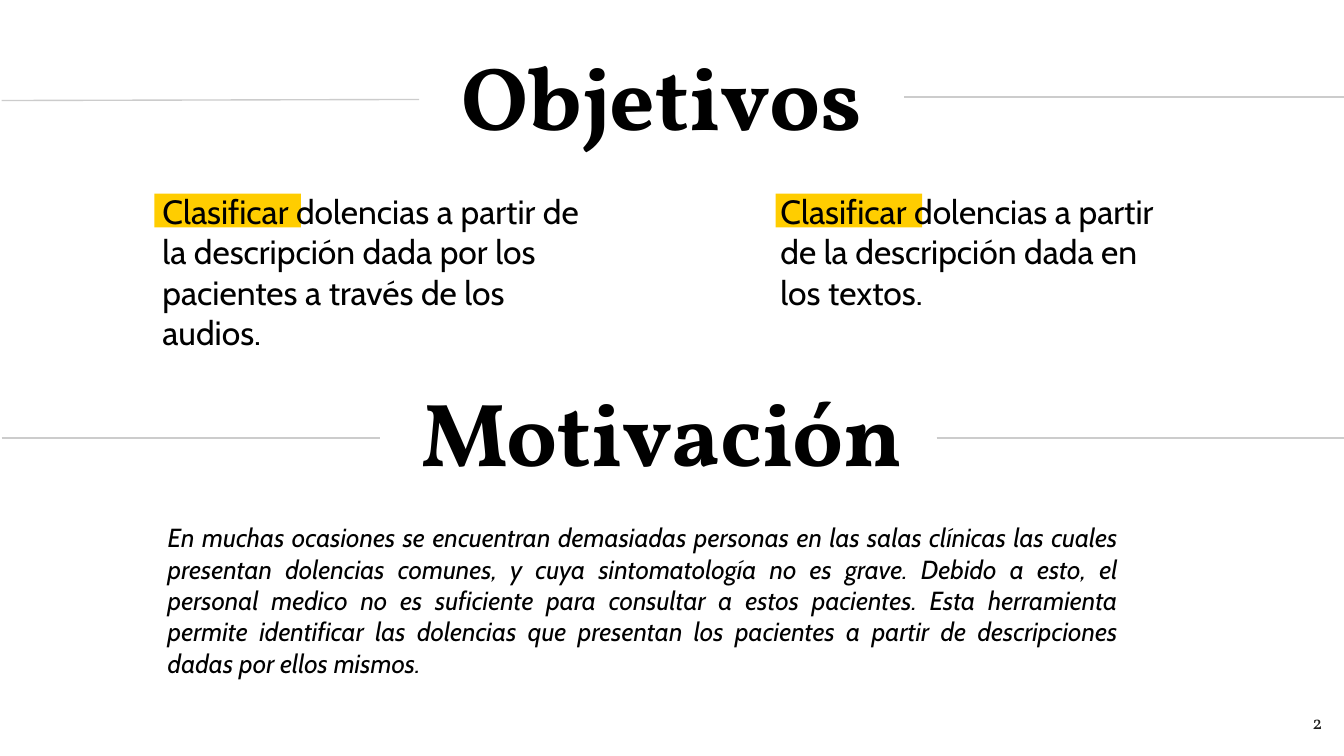
"""Build a slide that states the objectives and motivation of a project."""
from dataclasses import dataclass

import pptx
import pptx.dml.color
import pptx.enum.shapes
import pptx.enum.text
import pptx.oxml
import pptx.oxml.ns
import pptx.util
from pptx.util import Cm

BLACK = pptx.dml.color.RGBColor(0x00, 0x00, 0x00)
CHARCOAL = pptx.dml.color.RGBColor(0x1D, 0x1D, 0x1B)
GRAY = pptx.dml.color.RGBColor(0xCC, 0xCC, 0xCC)
YELLOW = pptx.dml.color.RGBColor(0xFF, 0xCD, 0x00)
HEADING_FONT = "Vollkorn"
BODY_FONT = "Cabin"
ALIGN = pptx.enum.text.PP_ALIGN
ANCHOR = pptx.enum.text.MSO_ANCHOR


@dataclass(frozen=True)
class Box:
    left: float
    top: float
    width: float
    height: float


@dataclass(frozen=True)
class Rule:
    start_x: float
    start_y: float
    end_x: float
    end_y: float


@dataclass(frozen=True)
class TextStyle:
    font: str
    size: int
    align: ALIGN = ALIGN.LEFT
    color: pptx.dml.color.RGBColor = BLACK
    bold: bool = False
    italic: bool = False
    anchor: ANCHOR = ANCHOR.TOP
    vertical_inset: float = 0.13


@dataclass(frozen=True)
class TextItem:
    text: str
    box: Box
    style: TextStyle


HEADING = TextStyle(HEADING_FONT, 48, ALIGN.CENTER, bold=True,
                    anchor=ANCHOR.MIDDLE, vertical_inset=0.25)
OBJECTIVE = TextStyle(BODY_FONT, 18)
MOTIVATION = TextStyle(BODY_FONT, 14, ALIGN.JUSTIFY, italic=True)
PAGE_NUMBER = TextStyle(HEADING_FONT, 10, ALIGN.RIGHT, CHARCOAL, vertical_inset=0.25)

HIGHLIGHTS = [Box(left, 3.66, 2.77, 0.64) for left in (2.92, 14.66)]
RULES = [
    Rule(0.03, 1.9, 7.92, 1.88),
    Rule(17.09, 1.83, 25.4, 1.83),
    Rule(0.03, 8.28, 7.19, 8.28),
    Rule(17.7, 8.28, 25.4, 8.28),
]
TITLE = TextItem("Objetivos", Box(5.69, 0.18, 13.64, 3.23), HEADING)
TEXTS = [
    TextItem("Clasificar dolencias a partir de la descripción dada por los "
             "pacientes a través de los audios.",
             Box(2.82, 3.48, 8.76, 3.33), OBJECTIVE),
    TextItem("Clasificar dolencias a partir de la descripción dada en los textos.",
             Box(14.5, 3.48, 8.08, 2.57), OBJECTIVE),
    TextItem("Motivación", Box(5.69, 6.53, 13.64, 3.23), HEADING),
    TextItem("En muchas ocasiones se encuentran demasiadas personas en las salas "
             "clínicas las cuales presentan dolencias comunes, y cuya sintomatología "
             "no es grave. Debido a esto, el personal medico no es suficiente para "
             "consultar a estos pacientes. Esta herramienta permite identificar las "
             "dolencias que presentan los pacientes a partir de descripciones dadas "
             "por ellos mismos.",
             Box(2.92, 9.73, 18.47, 3.25), MOTIVATION),
    TextItem("2", Box(23.72, 13.18, 1.52, 1.09), PAGE_NUMBER),
]


def box_lengths(box: Box) -> tuple[Cm, Cm, Cm, Cm]:
    """Return the position and size of a box as lengths."""
    return Cm(box.left), Cm(box.top), Cm(box.width), Cm(box.height)


def draw_highlight(slide: pptx.slide.Slide, box: Box) -> None:
    """Draw a yellow marker behind a keyword."""
    shape = slide.shapes.add_shape(
        pptx.enum.shapes.MSO_SHAPE.RECTANGLE, *box_lengths(box))
    shape.shadow.inherit = False
    shape.fill.solid()
    shape.fill.fore_color.rgb = YELLOW
    shape.line.fill.background()


def draw_rule(slide: pptx.slide.Slide, rule: Rule) -> None:
    """Draw a thin gray line beside a heading."""
    connector = slide.shapes.add_connector(
        pptx.enum.shapes.MSO_CONNECTOR.STRAIGHT,
        Cm(rule.start_x), Cm(rule.start_y), Cm(rule.end_x), Cm(rule.end_y))
    connector.line.color.rgb = GRAY
    connector.line.width = pptx.util.Pt(0.75)
    properties = connector._element.spPr
    properties.append(pptx.oxml.parse_xml(
        f"<a:effectLst {pptx.oxml.ns.nsdecls('a')}/>"))


def write_text(shape: pptx.shapes.autoshape.Shape, item: TextItem) -> None:
    """Fill a shape with formatted text."""
    style = item.style
    frame = shape.text_frame
    frame.text = item.text
    frame.word_wrap = True
    frame.auto_size = pptx.enum.text.MSO_AUTO_SIZE.NONE
    frame.vertical_anchor = style.anchor
    frame.margin_left = frame.margin_right = Cm(0.25)
    frame.margin_top = frame.margin_bottom = Cm(style.vertical_inset)
    paragraph = frame.paragraphs[0]
    paragraph.alignment = style.align
    paragraph.font.name = style.font
    paragraph.font.size = pptx.util.Pt(style.size)
    paragraph.font.bold = style.bold
    paragraph.font.italic = style.italic
    paragraph.font.color.rgb = style.color


def main() -> None:
    """Assemble and save the presentation."""
    presentation = pptx.Presentation()
    presentation.slide_width = Cm(25.4)
    presentation.slide_height = Cm(14.29)
    slide = presentation.slides.add_slide(
        presentation.slide_layouts.get_by_name("Title Only"))

    for highlight in HIGHLIGHTS:
        draw_highlight(slide, highlight)
    for rule in RULES:
        draw_rule(slide, rule)

    title = slide.shapes.title
    title.left, title.top, title.width, title.height = box_lengths(TITLE.box)
    write_text(title, TITLE)
    for item in TEXTS:
        write_text(slide.shapes.add_textbox(*box_lengths(item.box)), item)

    presentation.save("out.pptx")


if __name__ == "__main__":
    main()
